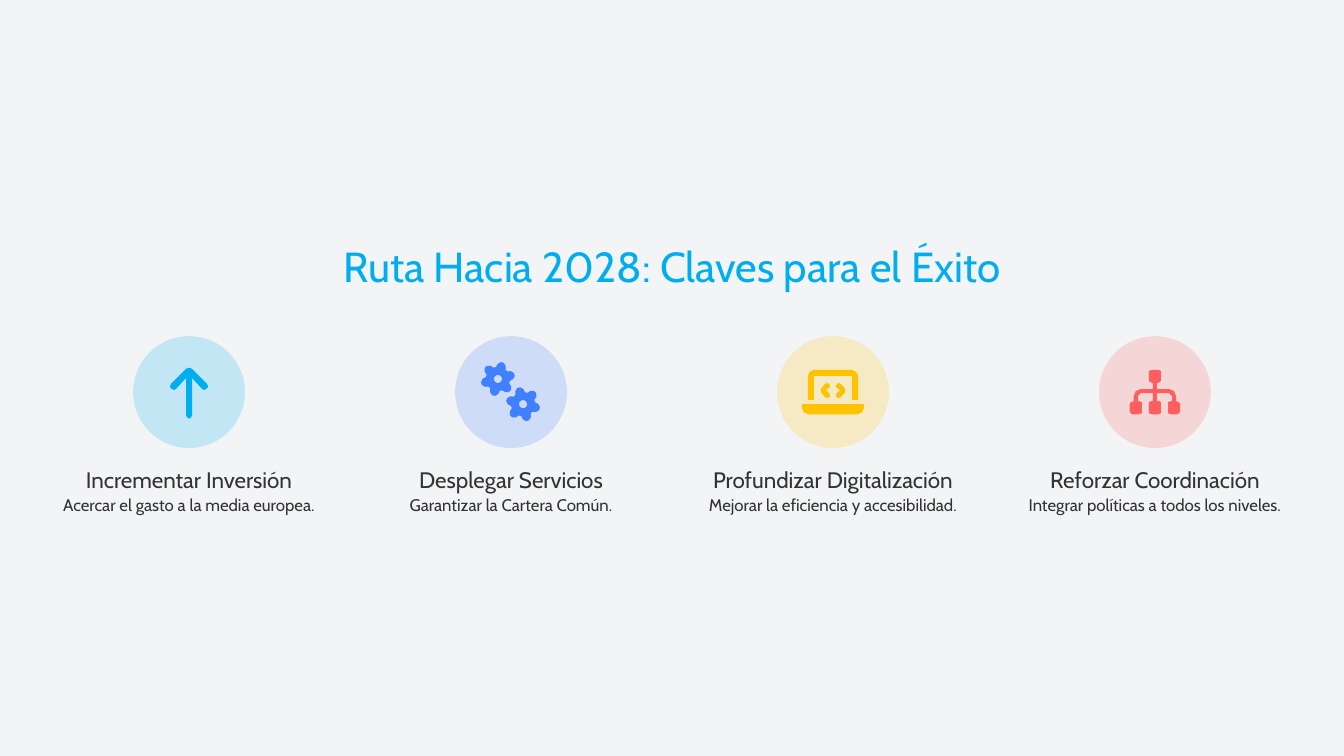
"""Build a slide with four keys to success, each with an icon and a caption."""
from math import cos, radians, sin
from pptx import Presentation
from pptx import util as u
from pptx.dml.color import RGBColor
from pptx.enum import shapes, text
from pptx.oxml import parse_xml
from pptx.oxml.ns import nsdecls


def paint(shape, color, alpha=None):
    shape.shadow.inherit = False
    shape.line.fill.background()
    shape.fill.solid()
    shape.fill.fore_color.rgb = RGBColor.from_string(color)
    if alpha:
        tint = shape.fill._xPr.find(".//{*}srgbClr")
        tint.append(parse_xml(f'<a:alpha {nsdecls("a")} val="{alpha * 1000}"/>'))


def write(box, words, size, color, space=1.0):
    frame = box.text_frame
    frame.auto_size = text.MSO_AUTO_SIZE.NONE
    frame.word_wrap = True
    frame.vertical_anchor = text.MSO_ANCHOR.MIDDLE
    frame.margin_left = frame.margin_right = 0
    frame.margin_top = frame.margin_bottom = 0
    para = frame.paragraphs[0]
    para.alignment = text.PP_ALIGN.CENTER
    para.line_spacing = space
    run = para.add_run()
    run.text = words
    run.font.name = "Cabin"
    run.font.size = u.Pt(size)
    run.font.color.rgb = RGBColor.from_string(color)


wide, high = 13.33, 7.5
deck = Presentation()
deck.slide_width, deck.slide_height = u.Inches(wide), u.Inches(high)
slide = deck.slides.add_slide(deck.slide_layouts[5])
slide.background.fill.solid()
slide.background.fill.fore_color.rgb = RGBColor.from_string("F3F4F6")

title = slide.shapes.title
title.left, title.top = u.Inches(0), u.Inches(2.39)
title.width, title.height = u.Inches(wide), u.Inches(0.5)
write(title, "Ruta Hacia 2028: Claves para el Éxito", 30, "00AEEF")

keys = [
    ("Incrementar Inversión", "Acercar el gasto a la media europea.", "00AEEF"),
    ("Desplegar Servicios", "Garantizar la Cartera Común.", "4080FF"),
    ("Profundizar Digitalización", "Mejorar la eficiencia y accesibilidad.", "FFC200"),
    ("Reforzar Coordinación", "Integrar políticas a todos los niveles.", "FF5E5E"),
]

arrow = [(0.01, -0.24), (0.03, -0.23), (0.18, -0.08), (0.19, -0.05), (0.17, -0.03),
         (0.15, -0.02), (0.13, -0.03), (0.03, -0.14), (0.03, 0.23), (0.02, 0.25),
         (0.01, 0.26)]
screen = [(0.19, -0.22), (0.23, -0.2), (0.25, -0.16), (0.25, 0.08),
          (0.19, 0.08), (0.19, -0.16)]
base = [(0.3, 0.12), (0.31, 0.13), (0.31, 0.15), (0.29, 0.2), (0.24, 0.22)]
chart = [(0.03, -0.22), (0.06, -0.21), (0.06, -0.11), (0.03, -0.09), (0.02, -0.09),
         (0.02, -0.03), (0.14, -0.03), (0.19, -0.01), (0.21, 0.04), (0.21, 0.09),
         (0.24, 0.1), (0.25, 0.12), (0.25, 0.19), (0.24, 0.21), (0.22, 0.22),
         (0.16, 0.22), (0.13, 0.21), (0.13, 0.1), (0.16, 0.09), (0.17, 0.09),
         (0.17, 0.04), (0.14, 0.01), (0.02, 0.01), (0.02, 0.09), (0.04, 0.09),
         (0.06, 0.1), (0.06, 0.21), (0.03, 0.22)]
arrow, screen, base, chart = [half + [(-x, y) for x, y in reversed(half)]
                              for half in (arrow, screen, base, chart)]
angle = [(0.08, -0.08), (0.12, -0.03), (0.12, 0), (0.08, 0.05), (0.05, 0.06),
         (0.03, 0.04), (0.03, 0.02), (0.07, -0.02), (0.03, -0.05),
         (0.03, -0.07), (0.05, -0.09)]
code = [[(side * x, y) for x, y in angle] for side in (-1, 1)]

tooth = [(-24, 0.12), (-16, 0.15), (-5, 0.17), (5, 0.17), (16, 0.15), (24, 0.12)]
gears = []
for x, y, start in ((-0.13, -0.13, -15), (0.12, 0.12, 15)):
    rim = [(start + 60 * i + a, r) for i in range(6) for a, r in tooth]
    hole = [(a, 0.04) for a in range(0, 360, 15)]
    gears += [[(x + r * cos(radians(a)), y + r * sin(radians(a))) for a, r in ring]
              for ring in (rim, hole)]

icons = [[arrow], gears, [screen, base] + code, [chart]]

span, disc, mid = 3.75, 1.11, 3.89
step = (wide - span) / 3
for i, ((head, note, color), icon) in enumerate(zip(keys, icons)):
    left = i * step
    cx = left + span / 2
    oval = slide.shapes.add_shape(
        shapes.MSO_SHAPE.OVAL, u.Inches(cx - disc / 2), u.Inches(mid - disc / 2),
        u.Inches(disc), u.Inches(disc))
    paint(oval, color, 20)

    rings = [[(u.Inches(cx + x), u.Inches(mid + y)) for x, y in ring] for ring in icon]
    pen = slide.shapes.build_freeform(*rings[0][0])
    for ring in rings:
        if ring is not rings[0]:
            pen.move_to(*ring[0])
        pen.add_line_segments(ring[1:], close=True)
    paint(pen.convert_to_shape(), color)

    for words, top, tall, size, space in ((head, 4.55, 0.33, 16, 1.3),
                                          (note, 4.89, 0.22, 12, 1.1)):
        box = slide.shapes.add_textbox(u.Inches(left), u.Inches(top),
                                       u.Inches(span), u.Inches(tall))
        write(box, words, size, "333333", space)

deck.save("out.pptx")
